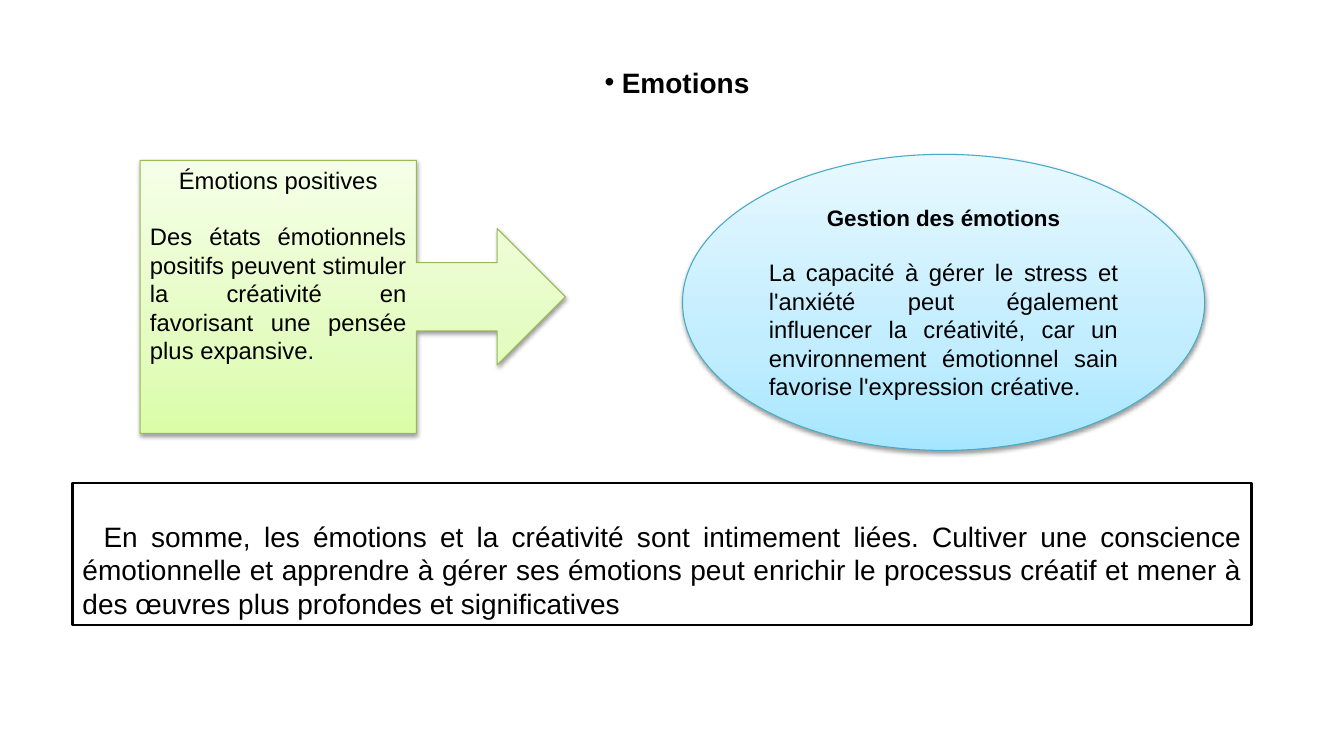
from lxml import etree
from pptx import Presentation
from pptx.dml.color import RGBColor
from pptx.enum import shapes, text
from pptx.oxml import ns
from pptx.util import Cm, Pt

BLACK = RGBColor(0, 0, 0)
WHITE = RGBColor(255, 255, 255)
LIME = RGBColor(0x98, 0xB9, 0x55)
TEAL = RGBColor(0x46, 0xAA, 0xC5)
LIMES = ("DAFDA7", "E4FCC2", "F5FFE7")
BLUES = ("A7E6FF", "C1EDFF", "E7F8FF")
STOPS = (0, 35, 100)

KIND = shapes.MSO_SHAPE
ALIGN = text.PP_ALIGN
ANCHOR = text.MSO_ANCHOR

# Paragraphs: wording, size, bold, alignment, space before in points
TITLE = [("Emotions", 20, True, ALIGN.LEFT, 0)]
SUM = [("En somme, les émotions et la créativité sont intimement liées. "
        "Cultiver une conscience émotionnelle et apprendre à gérer ses émotions "
        "peut enrichir le processus créatif et mener à des œuvres plus profondes "
        "et significatives", 20, False, ALIGN.JUSTIFY, 0)]
MOODS = [("Émotions positives", 17, False, ALIGN.CENTER, 0),
         ("Des états émotionnels positifs peuvent stimuler la créativité en "
          "favorisant une pensée plus expansive.", 17, False, ALIGN.JUSTIFY, 20)]
CARE = [("Gestion des émotions", 16, True, ALIGN.CENTER, 0),
        ("La capacité à gérer le stress et l'anxiété peut également influencer "
         "la créativité, car un environnement émotionnel sain favorise "
         "l'expression créative.", 17, False, ALIGN.JUSTIFY, 19)]

# Shapes: kind, place in cm, fill, line colour, line width, anchor, paragraphs
PARTS = [
    (KIND.RECTANGLE, (1.83, 12.17, 29.72, 3.58), WHITE, BLACK, 2, ANCHOR.BOTTOM, SUM),
    (KIND.RIGHT_ARROW_CALLOUT, (3.53, 4.04, 10.72, 6.88), LIMES, LIME, 0.75,
     ANCHOR.TOP, MOODS),
    (KIND.OVAL, (17.2, 3.89, 13.16, 7.46), BLUES, TEAL, 0.75, ANCHOR.MIDDLE, CARE),
]
TITLE_AT = (14.99, 1.52, 4.22, 1.12)


def add(parent, tag, **attrs):
    return etree.SubElement(parent, ns.qn("a:" + tag),
                            {k: str(v) for k, v in attrs.items()})


def write(frame, paras):
    for i, (words, size, bold, align, gap) in enumerate(paras):
        para = frame.paragraphs[0] if i == 0 else frame.add_paragraph()
        para.alignment = align
        if gap:
            para.space_before = Pt(gap)
        run = para.add_run()
        run.text = words
        look = {"name": "Arial", "size": Pt(size), "bold": bold}
        for key, value in look.items():
            setattr(run.font, key, value)
        run.font.color.rgb = BLACK


def shade(shape, tones):
    """Blend the tones from bottom to top and cast a soft shadow below."""
    shape.fill.gradient()
    shape.fill.gradient_angle = 90
    props = shape._element.spPr
    stops = props.find(".//" + ns.qn("a:gsLst"))
    for old in list(stops):
        stops.remove(old)
    for pos, tone in zip(STOPS, tones):
        add(add(stops, "gs", pos=pos * 1000), "srgbClr", val=tone)
    cast = add(props.find(ns.qn("a:effectLst")), "outerShdw", blurRad=40000,
               dist=20000, dir=5400000, rotWithShape=0)
    add(add(cast, "srgbClr", val="000000"), "alpha", val=38000)


def draw(slide, kind, place, fill, line, width, anchor, paras):
    shape = slide.shapes.add_shape(kind, *map(Cm, place))
    shape.shadow.inherit = False
    shape.line.color.rgb = line
    shape.line.width = Pt(width)
    if isinstance(fill, RGBColor):
        shape.fill.solid()
        shape.fill.fore_color.rgb = fill
    else:
        shade(shape, fill)
    frame = shape.text_frame
    frame.word_wrap = True
    frame.vertical_anchor = anchor
    write(frame, paras)
    return frame


def main():
    deck = Presentation()
    deck.slide_width, deck.slide_height = Cm(33.87), Cm(19.05)
    slide = deck.slides.add_slide(deck.slide_layouts[6])

    frames = [draw(slide, *part) for part in PARTS]
    frames[0].paragraphs[0]._p.get_or_add_pPr().set("indent", str(Cm(0.53)))

    title = slide.shapes.add_textbox(*map(Cm, TITLE_AT)).text_frame
    title.word_wrap = False
    props = title.paragraphs[0]._p.get_or_add_pPr()
    props.set("marL", str(Cm(0.43)))
    props.set("indent", str(-Cm(0.43)))
    add(props, "buFont", typeface="Arial")
    add(props, "buChar", char="•")
    write(title, TITLE)

    deck.save("out.pptx")


if __name__ == "__main__":
    main()
